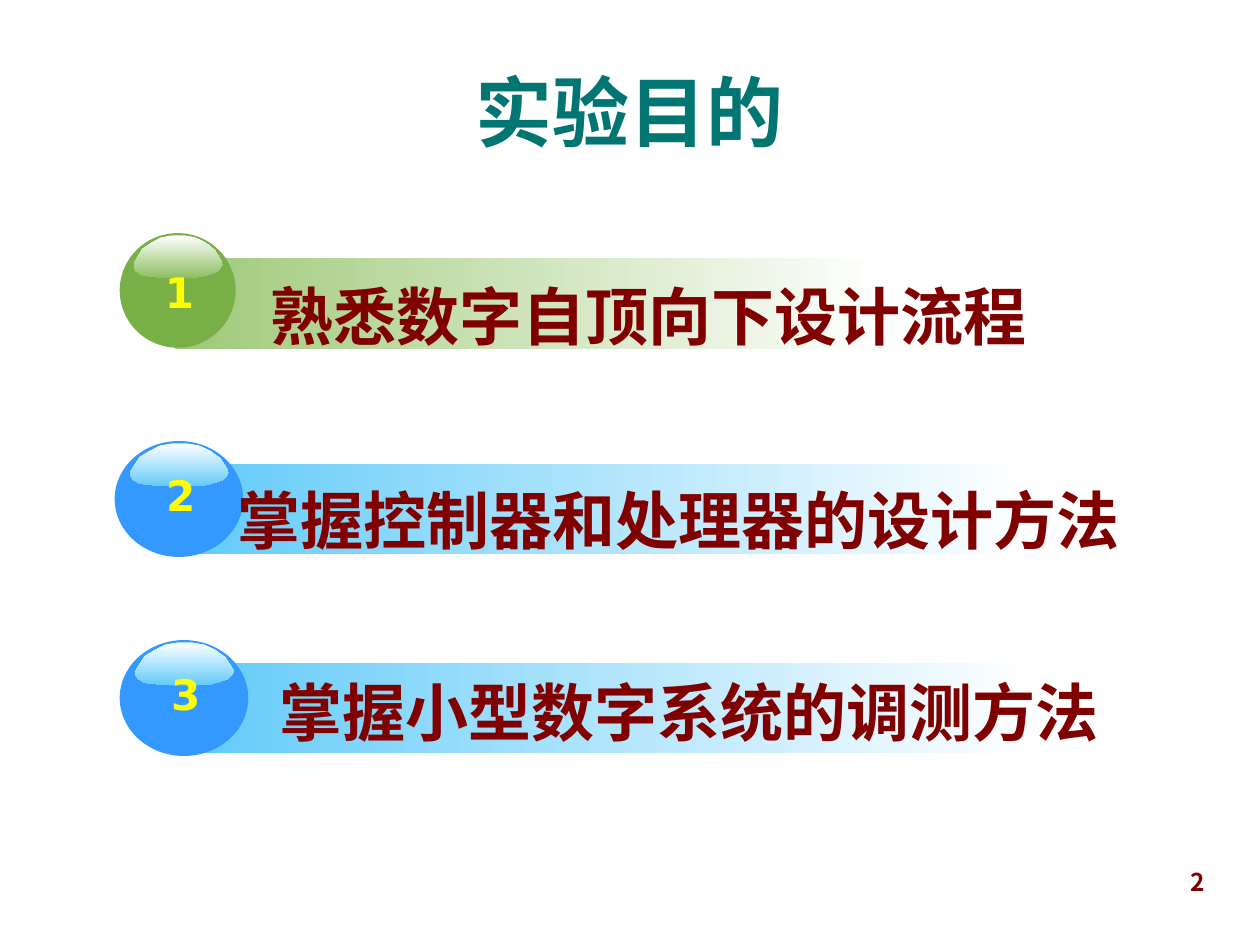
from pptx import Presentation
from pptx import util as u
from pptx.dml.color import RGBColor
from pptx.enum import shapes, text
from pptx.oxml.ns import qn
from lxml import etree

COLORS = {
    "title": "007572", "body": "800000", "number": "FFFF00", "white": "FFFFFF",
    "green": "79AF47", "green_bar": "9FC979", "green_gloss": "8EBF61",
    "blue": "3399FF", "blue_light": "63CBF9",
}
COLUMNS, ROWS = 100, 75
LATIN, NUMERALS, CJK = "Arial", "DejaVu Sans", "Noto Sans CJK SC"

# Outline of the highlight on a ball, in percent of its own box
GLOSS = [(97, 56), (100, 68), (97, 77), (94, 85), (86, 91), (77, 97), (62, 100),
         (35, 100), (22, 97), (10, 94), (3, 85), (0, 74), (0, 68), (4, 53),
         (10, 32), (20, 18), (30, 6), (43, 0), (57, 0), (70, 6), (81, 18), (91, 35)]

GREEN = ("green", "green_bar", "green_gloss")
BLUE = ("blue", "blue_light", "blue_light")

# wording, palette, boxes of ball, bar and wording (left, top, width, height), number top
GOALS = [
    ("熟悉数字自顶向下设计流程", GREEN, (9.5, 18.5, 9.2, 9.1),
     (13.9, 20.5, 56.2, 7.2), (20.4, 21.5, 62.2, 7), 20.7),
    ("掌握控制器和处理器的设计方法", BLUE, (9.1, 35, 10.2, 9.2),
     (14.7, 36.8, 66.9, 7.2), (17.7, 37.7, 72.3, 7), 36.8),
    ("掌握小型数字系统的调测方法", BLUE, (9.5, 50.8, 10.2, 9.2),
     (15.1, 52.6, 66.9, 7.2), (20.3, 53, 68.8, 7), 52.6),
]


class Deck:
    def __init__(self):
        self.prs = Presentation()
        self.prs.slide_width, self.prs.slide_height = u.Inches(10), u.Inches(7.5)
        self.slide = self.prs.slides.add_slide(self.prs.slide_layouts[5])
        self.canvas = self.slide.shapes

    def place(self, box):
        """Turn grid columns and rows into slide lengths."""
        units = (self.prs.slide_width / COLUMNS, self.prs.slide_height / ROWS) * 2
        return [round(value * unit) for value, unit in zip(box, units)]

    def fill_text(self, shape, words, size, font, color, align, wrap=True,
                  anchor=text.MSO_ANCHOR.TOP):
        frame = shape.text_frame
        frame.text = words
        frame.word_wrap = wrap
        frame.vertical_anchor = anchor
        frame.auto_size = text.MSO_AUTO_SIZE.NONE
        paragraph = frame.paragraphs[0]
        paragraph.alignment = align
        run = paragraph.runs[0]
        run.font.size, run.font.bold, run.font.name = u.Pt(size), True, font
        run.font.color.rgb = RGBColor.from_string(COLORS[color])
        latin = run.font._element.find(qn("a:latin"))
        latin.addnext(etree.Element(qn("a:ea"), typeface=font))

    def title(self, words, box):
        heading = self.slide.shapes.title
        heading.left, heading.top, heading.width, heading.height = self.place(box)
        self.fill_text(heading, words, 44, LATIN, "title", text.PP_ALIGN.CENTER,
                       anchor=text.MSO_ANCHOR.MIDDLE)

    def label(self, words, box, size, font, color,
              align=text.PP_ALIGN.CENTER, wrap=True):
        self.fill_text(self.canvas.add_textbox(*self.place(box)),
                       words, size, font, color, align, wrap)

    def plain(self, shape):
        shape.shadow.inherit = False
        shape.line.fill.background()

    def fade(self, shape, start, end, angle):
        self.plain(shape)
        shape.fill.gradient()
        shape.fill.gradient_angle = angle
        for stop, color in zip(shape.fill.gradient_stops, (start, end)):
            stop.color.rgb = RGBColor.from_string(COLORS[color])

    def bar(self, box, color):
        strip = self.canvas.add_shape(shapes.MSO_SHAPE.RECTANGLE, *self.place(box))
        self.fade(strip, color, "white", 0)

    def ball(self, box, color, gloss_color):
        disc = self.canvas.add_shape(shapes.MSO_SHAPE.OVAL, *self.place(box))
        self.plain(disc)
        disc.fill.solid()
        disc.fill.fore_color.rgb = RGBColor.from_string(COLORS[color])

        left, top, width, height = box
        x, y, w, h = self.place((left + 0.12 * width, top + 0.02 * height,
                                 0.77 * width, 0.37 * height))
        outline = self.canvas.build_freeform(*GLOSS[0], scale=(w / 100, h / 100))
        outline.add_line_segments(GLOSS[1:], close=True)
        self.fade(outline.convert_to_shape(x, y), "white", gloss_color, 270)

    def goal(self, number, words, palette, ball, bar, wording, number_top):
        """Group a bar, a numbered ball and its wording."""
        ball_color, bar_color, gloss_color = palette
        self.canvas = self.slide.shapes.add_group_shape().shapes
        self.bar(bar, bar_color)
        self.ball(ball, ball_color, gloss_color)
        number_left = ball[0] + ball[2] / 2 - 1.8
        self.label(str(number), (number_left, number_top, 3.9, 5),
                   24, NUMERALS, "number", wrap=False)
        self.label(words, wording, 36, CJK, "body")
        self.canvas = self.slide.shapes


def main():
    deck = Deck()
    deck.title("实验目的", (3.3, 2.5, 93.4, 12.5))
    deck.label("2", (71.6, 68.3, 25, 5.2), 14, CJK, "body", text.PP_ALIGN.RIGHT)
    for number, goal in enumerate(GOALS, 1):
        deck.goal(number, *goal)
    deck.prs.save("out.pptx")


if __name__ == "__main__":
    main()
